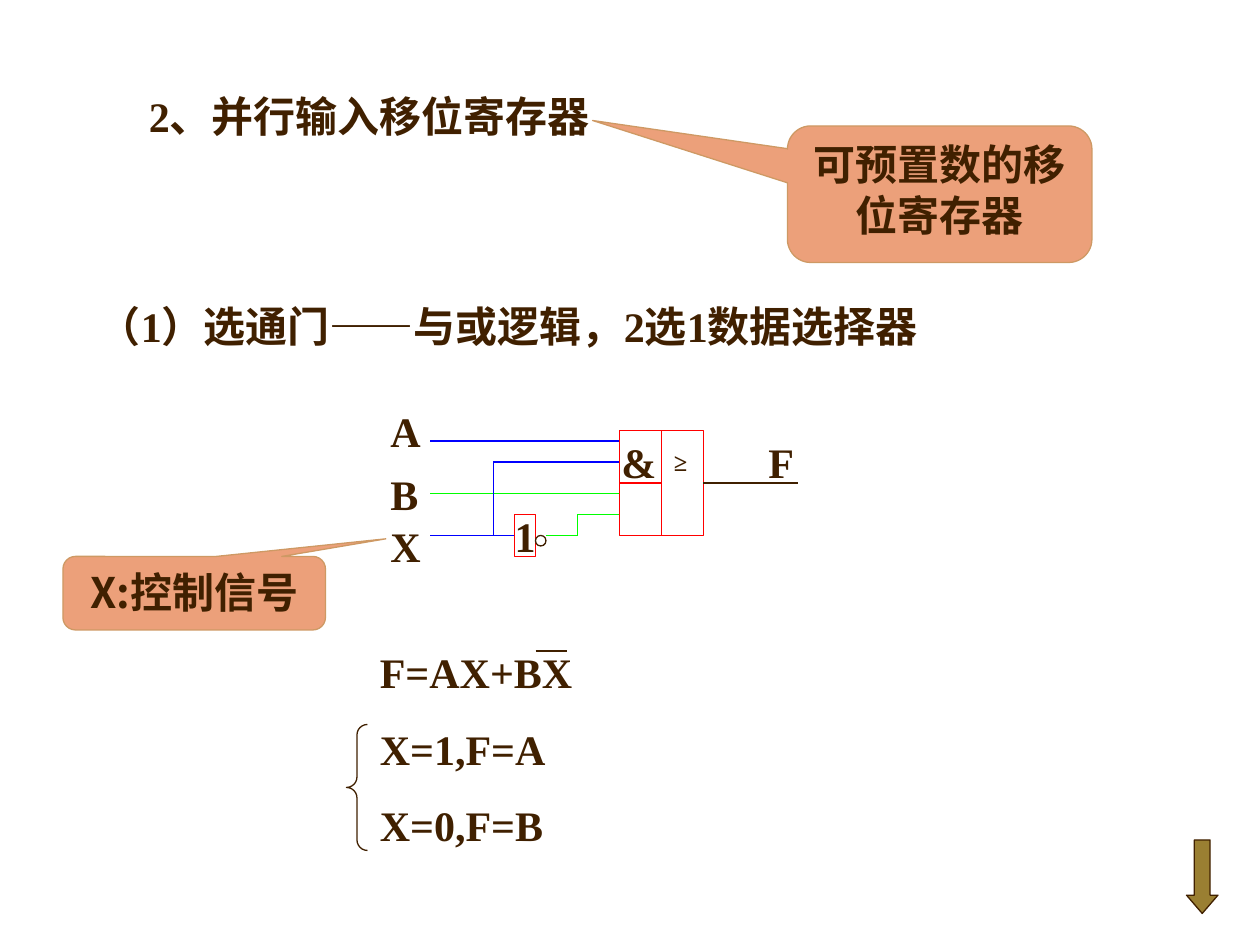
from dataclasses import dataclass

from lxml.etree import SubElement
from pptx import Presentation
from pptx.dml.color import RGBColor
from pptx.enum.shapes import MSO_CONNECTOR, MSO_SHAPE
from pptx.enum.text import MSO_ANCHOR, PP_ALIGN
from pptx.oxml.ns import qn
from pptx.util import Cm, Pt


@dataclass(frozen=True)
class Theme:
    """Colours, fonts and type sizes of the slide."""
    ink: str = "402000"
    paper: str = "FFFFFF"
    gate: str = "FF0000"
    signal: str = "0000FF"
    inverted: str = "00FF00"
    callout: str = "ECA07A"
    callout_line: str = "CE9964"
    arrow: str = "9A7F32"
    serif: str = "Times New Roman"
    sans: str = "Noto Sans CJK SC"
    size: int = 24
    small: int = 14
    line_width: float = 0.75


THEME = Theme()
GRID = 2.54 / 12


def place(units):
    """Turn grid units into lengths."""
    return [Cm(GRID * unit) for unit in units]


def write_paragraph(paragraph, runs, size=THEME.size, align=PP_ALIGN.LEFT):
    """Fill a paragraph with (text, font) runs."""
    paragraph.alignment = align
    for text, font_name in runs:
        run = paragraph.add_run()
        run.text = text
        run.font.name = font_name
        run.font.size = Pt(size)
        run.font.bold = True
        run.font.color.rgb = RGBColor.from_string(THEME.ink)
        SubElement(run.font._element, qn("a:ea"), typeface=THEME.sans)


def add_text(slide, box, lines, size=THEME.size, wrap=True, anchor=MSO_ANCHOR.TOP):
    """Add a text box holding one paragraph per line."""
    frame = slide.shapes.add_textbox(*place(box)).text_frame
    frame.word_wrap = wrap
    frame.vertical_anchor = anchor
    for index, line in enumerate(lines):
        paragraph = frame.add_paragraph() if index else frame.paragraphs[0]
        write_paragraph(paragraph, [(line, THEME.serif)], size)
        if index:
            paragraph.space_before = Pt(15)


def add_block(slide, kind, box, fill, line, adjustments=()):
    """Add a preset shape with a thin outline; a fill of None leaves it open."""
    shape = slide.shapes.add_shape(kind, *place(box))
    shape.shadow.inherit = False
    if fill:
        shape.fill.solid()
        shape.fill.fore_color.rgb = RGBColor.from_string(fill)
    else:
        shape.fill.background()
    shape.line.color.rgb = RGBColor.from_string(line)
    shape.line.width = Pt(THEME.line_width)
    for index, value in enumerate(adjustments):
        shape.adjustments[index] = value
    return shape


def add_callout(slide, box, adjustments, runs):
    """Add a rounded callout with centred text."""
    shape = add_block(slide, MSO_SHAPE.ROUNDED_RECTANGULAR_CALLOUT, box,
                      THEME.callout, THEME.callout_line, adjustments)
    shape.text_frame.word_wrap = True
    shape.text_frame.vertical_anchor = MSO_ANCHOR.TOP
    write_paragraph(shape.text_frame.paragraphs[0], runs, align=PP_ALIGN.CENTER)


def add_wire(slide, start, end, color, begin=None, finish=None):
    """Add a straight wire, joined to (shape, side) pairs where given."""
    wire = slide.shapes.add_connector(MSO_CONNECTOR.STRAIGHT, *place((*start, *end)))
    wire.line.color.rgb = RGBColor.from_string(color)
    wire.line.width = Pt(THEME.line_width)
    SubElement(wire._element.spPr, qn("a:effectLst"))
    if begin:
        wire.begin_connect(*begin)
    if finish:
        wire.end_connect(*finish)


def add_circuit(slide):
    """Draw the AND-OR gate, the inverter, their wires and labels."""
    left, middle, right = 59, 63, 67
    top, centre, bottom = 41, 46, 51
    source, branch, step = 41, 47, 55
    gate = add_block(slide, MSO_SHAPE.RECTANGLE, (left, top, right - left, bottom - top),
                     THEME.paper, THEME.gate)
    inverter = add_block(slide, MSO_SHAPE.RECTANGLE, (49, 49, 2, 4),
                         THEME.paper, THEME.gate)
    inverter.text_frame.word_wrap = False
    inverter.text_frame.vertical_anchor = MSO_ANCHOR.MIDDLE
    write_paragraph(inverter.text_frame.paragraphs[0], [("1", THEME.serif)],
                    align=PP_ALIGN.CENTER)
    add_block(slide, MSO_SHAPE.OVAL, (51, bottom, 1, 1), THEME.paper, THEME.ink)

    add_wire(slide, (left, centre), (middle, centre), THEME.gate, begin=(gate, 1))
    add_wire(slide, (middle, top), (middle, bottom), THEME.gate, (gate, 0), (gate, 2))
    add_wire(slide, (source, bottom), (49, bottom), THEME.signal, finish=(inverter, 1))
    add_wire(slide, (right, centre), (76, centre), THEME.ink, begin=(gate, 3))
    for start, end, color in (
        ((source, 42), (left, 42), THEME.signal),
        ((source, 47), (left, 47), THEME.inverted),
        ((branch, 44), (left, 44), THEME.signal),
        ((branch, 44), (branch, bottom), THEME.signal),
        ((52, bottom), (step, bottom), THEME.inverted),
        ((step, 49), (left, 49), THEME.inverted),
        ((step, 49), (step, bottom), THEME.inverted),
    ):
        add_wire(slide, start, end, color)

    for label, x, y, width, height, size in (
        ("A", 36, 38, 4, 6, THEME.size),
        ("B", 36, 44, 3, 6, THEME.size),
        ("X", 36, 49, 4, 6, THEME.size),
        ("F", 72, 41, 4, 6, THEME.size),
        ("&", 58, 41, 2.4, 6, THEME.size),
        ("≥", middle, 42, 4.2, 4.1, THEME.small),
    ):
        add_text(slide, (x, y, width, height), [label], size)


def add_equations(slide):
    """Write the output equations with the overbar and the brace."""
    add_text(slide, (35, 61, 31, 20.6), ["F=AX+BX", "X=1,F=A", "X=0,F=B"])
    add_wire(slide, (51, 62), (54, 62), THEME.ink)
    add_block(slide, MSO_SHAPE.LEFT_BRACE, (33, 69, 2, 12), None, THEME.ink, (0.5, 0.5))


def main():
    """Build the slide and save it."""
    presentation = Presentation()
    presentation.slide_width, presentation.slide_height = Cm(25.4), Cm(19.05)
    slide = presentation.slides.add_slide(presentation.slide_layouts[6])
    add_text(slide, (13, 8, 45, 6), ["2、并行输入移位寄存器"], anchor=MSO_ANCHOR.MIDDLE)
    add_text(slide, (8.25, 28, 86.2, 6),
             ["（1）选通门——与或逻辑，2选1数据选择器"], wrap=False)
    add_circuit(slide)
    add_equations(slide)
    add_callout(slide, (75, 12, 29, 13), (-1.14, -0.54, 0.17),
                [("可预置数的", THEME.sans), ("移位寄存器", THEME.serif)])
    add_callout(slide, (6, 53, 25, 7), (0.73, -0.74, 0.17),
                [("X:控制信号", THEME.sans)])
    add_block(slide, MSO_SHAPE.DOWN_ARROW, (113, 80, 3, 7),
              THEME.arrow, THEME.ink, (0.5, 0.58))
    presentation.save("out.pptx")


if __name__ == "__main__":
    main()
